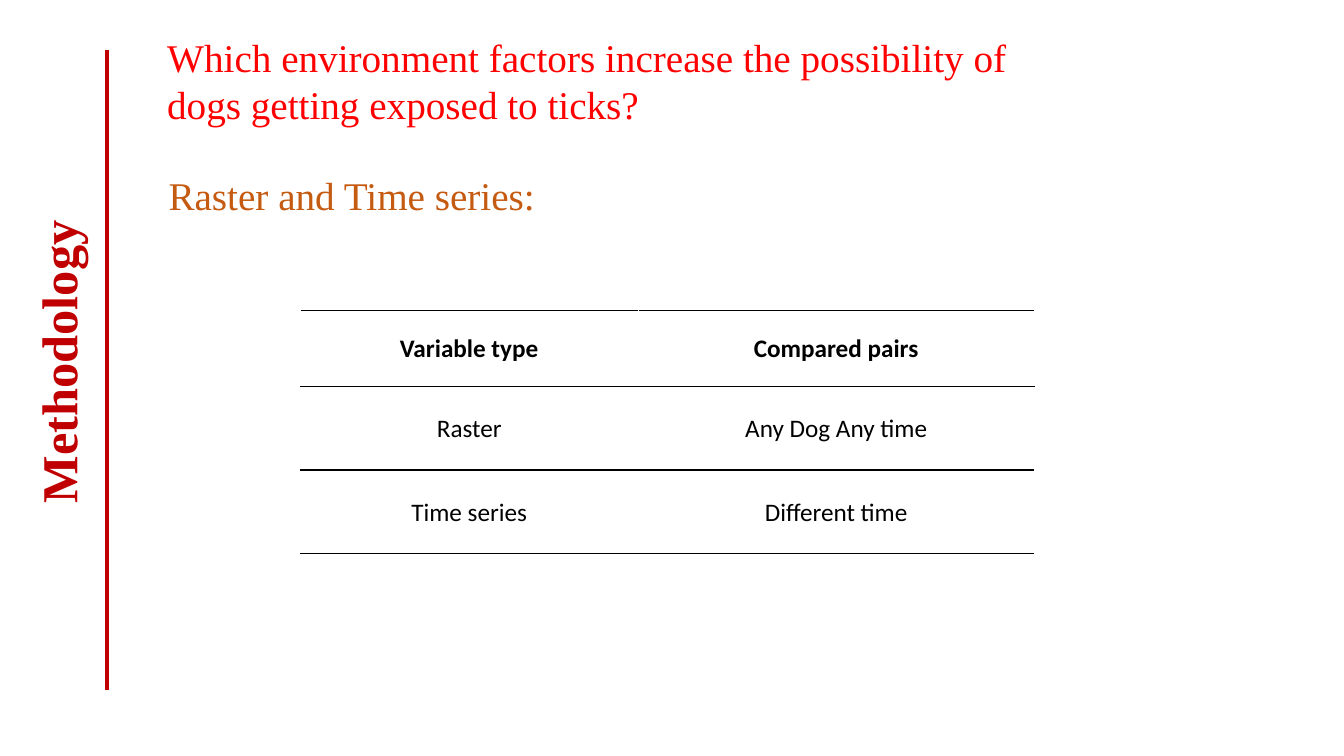
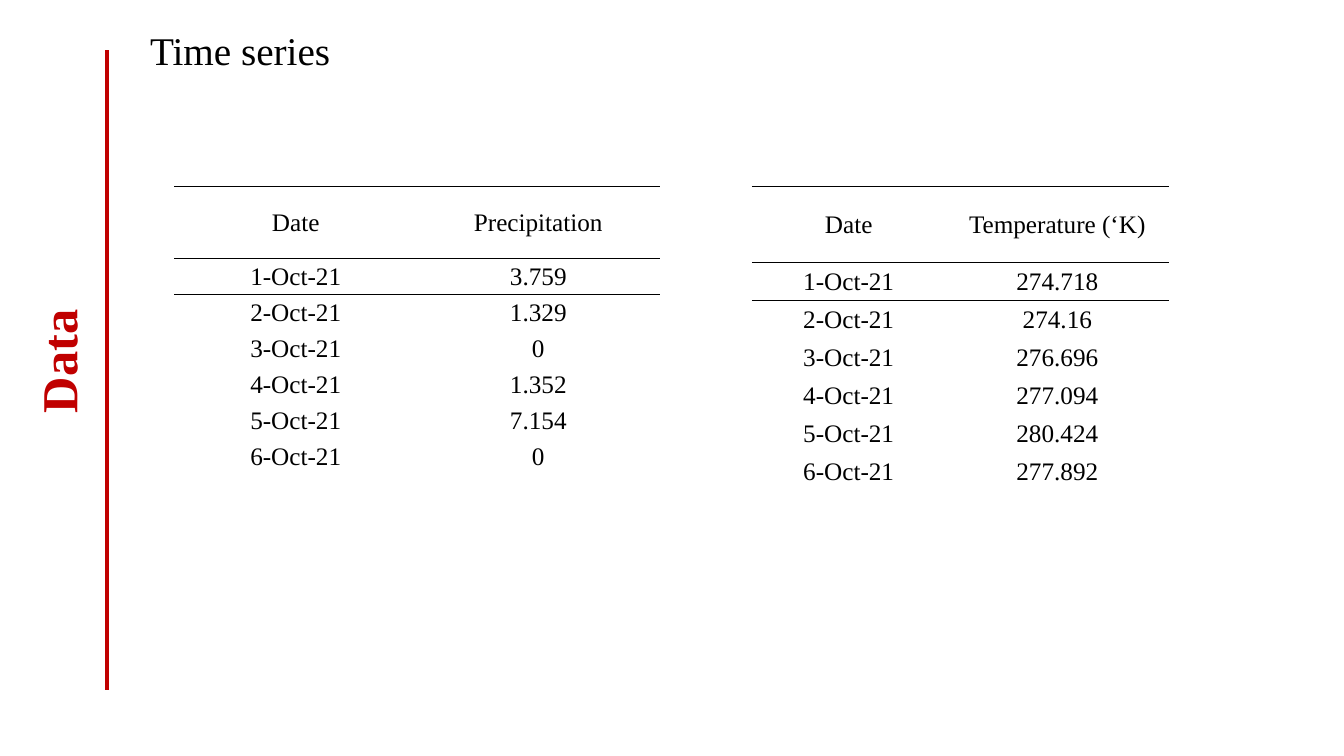
import dataclasses
import typing

import lxml.etree
import pptx
import pptx.dml.color
import pptx.enum.shapes
import pptx.enum.text
import pptx.oxml.ns
import pptx.presentation
import pptx.slide
import pptx.util

SLIDE_WIDTH = pptx.util.Inches(13.333)
SLIDE_HEIGHT = pptx.util.Inches(7.5)
COLOURS = {
    "section": "C00000",
    "question": "FF0000",
    "topic": "C55A11",
    "ink": "000000",
    "paper": "FFFFFF",
}
SERIF = "Times New Roman"
SECTION_FONT = {"name": SERIF, "size": pptx.util.Pt(36), "bold": True}
HEADING_FONT = {"name": SERIF, "size": pptx.util.Pt(28), "bold": False}
SERIES_FONT = {"name": SERIF, "size": pptx.util.Pt(18), "bold": False}
PAIRS_FONT = {"name": "Calibri", "size": pptx.util.Pt(18), "bold": False}
PLAIN_TABLE_STYLE = "{2D5ABB26-0587-4C30-8999-92F81FD0307C}"
CENTRE = pptx.enum.text.PP_ALIGN.CENTER
LEFT = pptx.enum.text.PP_ALIGN.LEFT
LINE_SPACING = 1.07


class Area(typing.NamedTuple):
    """A rectangle in percent of the slide's width and height."""
    left: float
    top: float
    width: float
    height: float


@dataclasses.dataclass(frozen=True)
class Label:
    lines: tuple[str, ...]
    area: Area
    font: dict[str, typing.Any]
    colour: str
    align: pptx.enum.text.PP_ALIGN = LEFT
    spacing: float = 1.0
    rotation: int = 0
    grows: bool = False


@dataclasses.dataclass(frozen=True)
class RuledTable:
    """A table with horizontal rules; lengths in percent of the slide."""
    left: float
    top: float
    columns: tuple[float, ...]
    header_height: float
    row_height: float
    rows: tuple[tuple[str, ...], ...]
    font: dict[str, typing.Any]
    spacing: float = 1.0
    side_margin: float = 1
    bold_header: bool = False
    closed: bool = False
    header_gaps: bool = False


def across(share: float) -> int:
    return round(SLIDE_WIDTH * share / 100)


def down(share: float) -> int:
    return round(SLIDE_HEIGHT * share / 100)


def place(area: Area) -> tuple[int, int, int, int]:
    return across(area.left), down(area.top), across(area.width), down(area.height)


def colour_of(name: str) -> pptx.dml.color.RGBColor:
    return pptx.dml.color.RGBColor.from_string(COLOURS[name])


def write(paragraph, text: str, font: dict[str, typing.Any], colour: str,
          align: pptx.enum.text.PP_ALIGN, spacing: float) -> None:
    paragraph.alignment = align
    paragraph.line_spacing = spacing
    run = paragraph.add_run()
    run.text = text
    for attribute, value in font.items():
        setattr(run.font, attribute, value)
    run.font.color.rgb = colour_of(colour)


def add_label(slide: pptx.slide.Slide, label: Label) -> None:
    box = slide.shapes.add_textbox(*place(label.area))
    box.rotation = label.rotation
    frame = box.text_frame
    sizing = pptx.enum.text.MSO_AUTO_SIZE
    frame.auto_size = sizing.SHAPE_TO_FIT_TEXT if label.grows else sizing.NONE
    frame.word_wrap = False
    for index, line in enumerate(label.lines):
        paragraph = frame.add_paragraph() if index else frame.paragraphs[0]
        write(paragraph, line, label.font, label.colour, label.align, label.spacing)


def add_section(slide: pptx.slide.Slide, name: str, length: float) -> None:
    """Draws the upright section name, centred beside the vertical rule."""
    centre_x, centre_y, height = 4.31, 47.67, 9.47
    area = Area(centre_x - length / 2, centre_y - height / 2, length, height)
    add_label(slide, Label((name,), area, SECTION_FONT, "section",
                           rotation=270, grows=True))
    rule = slide.shapes.add_connector(
        pptx.enum.shapes.MSO_CONNECTOR.STRAIGHT,
        across(7.95), down(6.67), across(7.95), down(91.33))
    rule.line.color.rgb = colour_of("section")
    rule.line.width = pptx.util.Pt(3)
    lxml.etree.SubElement(rule._element.spPr, pptx.oxml.ns.qn("a:effectLst"))


def add_borders(cell, borders: dict[str, str]) -> None:
    """Adds 1 pt borders; the format wants the sides in the order L, R, T, B."""
    properties = cell._tc.get_or_add_tcPr()
    qn = pptx.oxml.ns.qn
    for side in "LRTB":
        if side in borders:
            line = lxml.etree.SubElement(properties, qn(f"a:ln{side}"),
                                         w=str(pptx.util.Pt(1)))
            fill = lxml.etree.SubElement(line, qn("a:solidFill"))
            lxml.etree.SubElement(fill, qn("a:srgbClr"), val=COLOURS[borders[side]])


def borders_for(row: int, table: RuledTable) -> dict[str, str]:
    borders = {}
    if row == 0:
        borders = {"T": "ink", "B": "ink"}
        if table.header_gaps:
            borders |= {"L": "paper", "R": "paper"}
    elif row == 1:
        borders = {"T": "ink"}
    if table.closed and row == len(table.rows) - 1:
        borders["B"] = "ink"
    return borders


def add_ruled_table(slide: pptx.slide.Slide, table: RuledTable) -> None:
    heights = [table.header_height] + [table.row_height] * (len(table.rows) - 1)
    area = Area(table.left, table.top, sum(table.columns), sum(heights))
    grid = slide.shapes.add_table(len(heights), len(table.columns), *place(area)).table
    grid.first_row = grid.horz_banding = False
    grid._tbl.tblPr.find(pptx.oxml.ns.qn("a:tableStyleId")).text = PLAIN_TABLE_STYLE
    for column, width in zip(grid.columns, table.columns):
        column.width = across(width)
    cell_format = {
        "margin_left": pptx.util.Pt(table.side_margin),
        "margin_right": pptx.util.Pt(table.side_margin),
        "margin_top": 0,
        "margin_bottom": 0,
        "vertical_anchor": pptx.enum.text.MSO_ANCHOR.MIDDLE,
    }
    for row, (height, texts) in enumerate(zip(heights, table.rows)):
        grid.rows[row].height = down(height)
        font = table.font | {"bold": table.bold_header and row == 0}
        for column, text in enumerate(texts):
            cell = grid.cell(row, column)
            for attribute, value in cell_format.items():
                setattr(cell, attribute, value)
            add_borders(cell, borders_for(row, table))
            cell.fill.background()
            write(cell.text_frame.paragraphs[0], text, font, "ink", CENTRE, table.spacing)


def daily_rows(measure: str, values: tuple[str, ...]) -> tuple[tuple[str, ...], ...]:
    days = ((f"{day}-Oct-21", value) for day, value in enumerate(values, start=1))
    return (("Date", measure), *days)


def add_blank_slide(deck: pptx.presentation.Presentation) -> pptx.slide.Slide:
    return deck.slides.add_slide(deck.slide_layouts[6])


def add_methodology(deck: pptx.presentation.Presentation) -> None:
    slide = add_blank_slide(deck)
    add_section(slide, "Methodology", 22.72)
    add_label(slide, Label(
        ("Which environment factors increase the possibility of",
         "dogs getting exposed to ticks?"),
        Area(11.7, 3.73, 65.33, 13.87), HEADING_FONT, "question", grows=True))
    add_label(slide, Label(
        ("Raster and Time series:",), Area(10.2, 21.6, 31.95, 13.33),
        HEADING_FONT, "topic", CENTRE, LINE_SPACING))
    add_ruled_table(slide, RuledTable(
        22.35, 41.07, (25.13, 29.48), 10, 11.1,
        (("Variable type", "Compared pairs"),
         ("Raster", "Any Dog Any time"),
         ("Time series", "Different time")),
        PAIRS_FONT, LINE_SPACING, side_margin=8,
        bold_header=True, closed=True, header_gaps=True))


def add_data(deck: pptx.presentation.Presentation) -> None:
    slide = add_blank_slide(deck)
    add_section(slide, "Data", 9.3)
    add_label(slide, Label(
        ("Time series",), Area(10.43, 2.4, 7.5, 13.33),
        HEADING_FONT, "ink", spacing=LINE_SPACING))
    precipitation = daily_rows(
        "Precipitation", ("3.759", "1.329", "0", "1.352", "7.154", "0"))
    temperature = daily_rows(
        "Temperature (‘K)",
        ("274.718", "274.16", "276.696", "277.094", "280.424", "277.892"))
    for left, columns, row_height, rows in (
        (12.98, (18.05, 18.05), 4.77, precipitation),
        (55.95, (14.4, 16.65), 5.03, temperature),
    ):
        add_ruled_table(slide, RuledTable(
            left, 24.67, columns, 2 * row_height, row_height, rows, SERIES_FONT))


def main() -> None:
    deck = pptx.Presentation()
    deck.slide_width = SLIDE_WIDTH
    deck.slide_height = SLIDE_HEIGHT
    add_methodology(deck)
    add_data(deck)
    deck.save("out.pptx")


if __name__ == "__main__":
    main()
